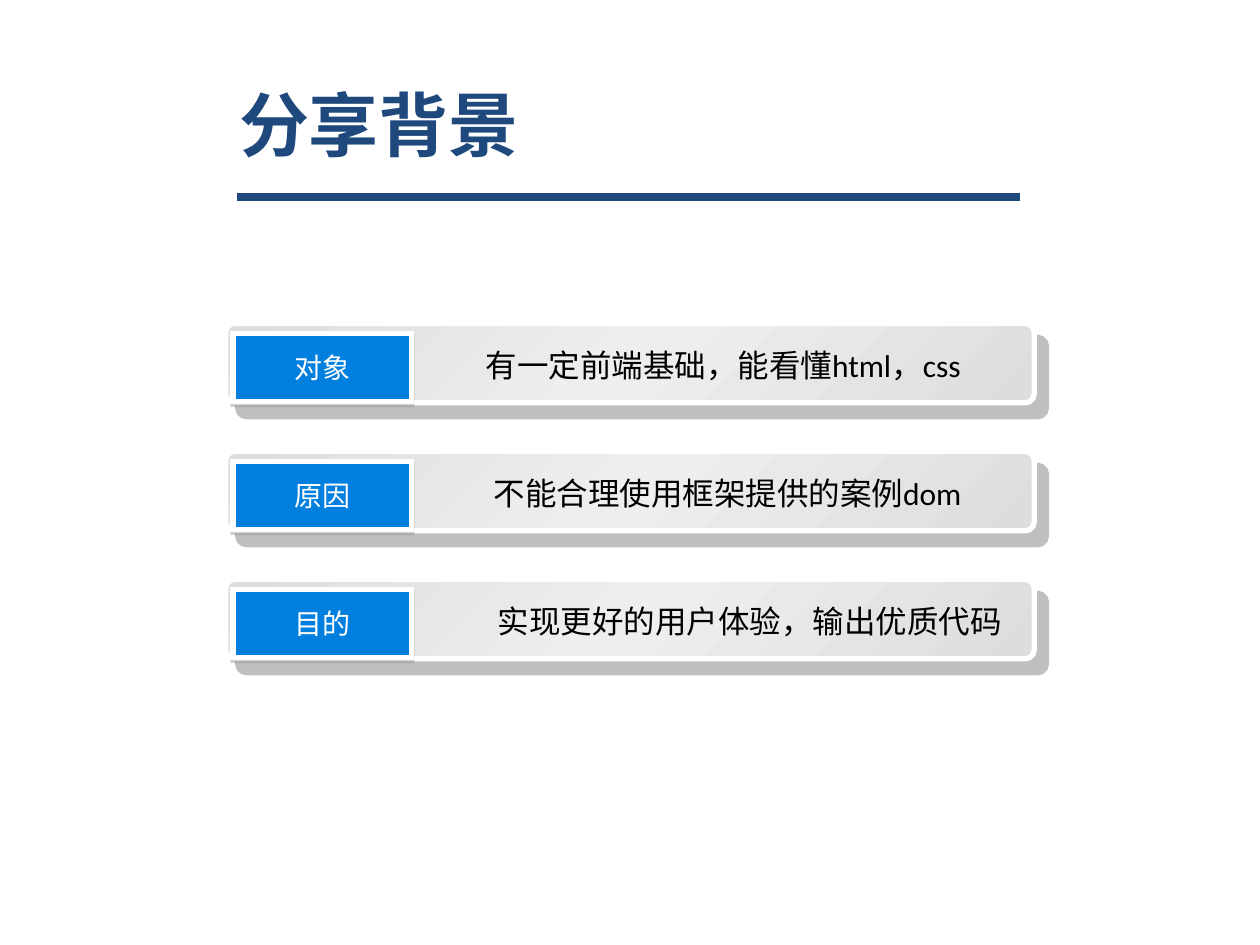
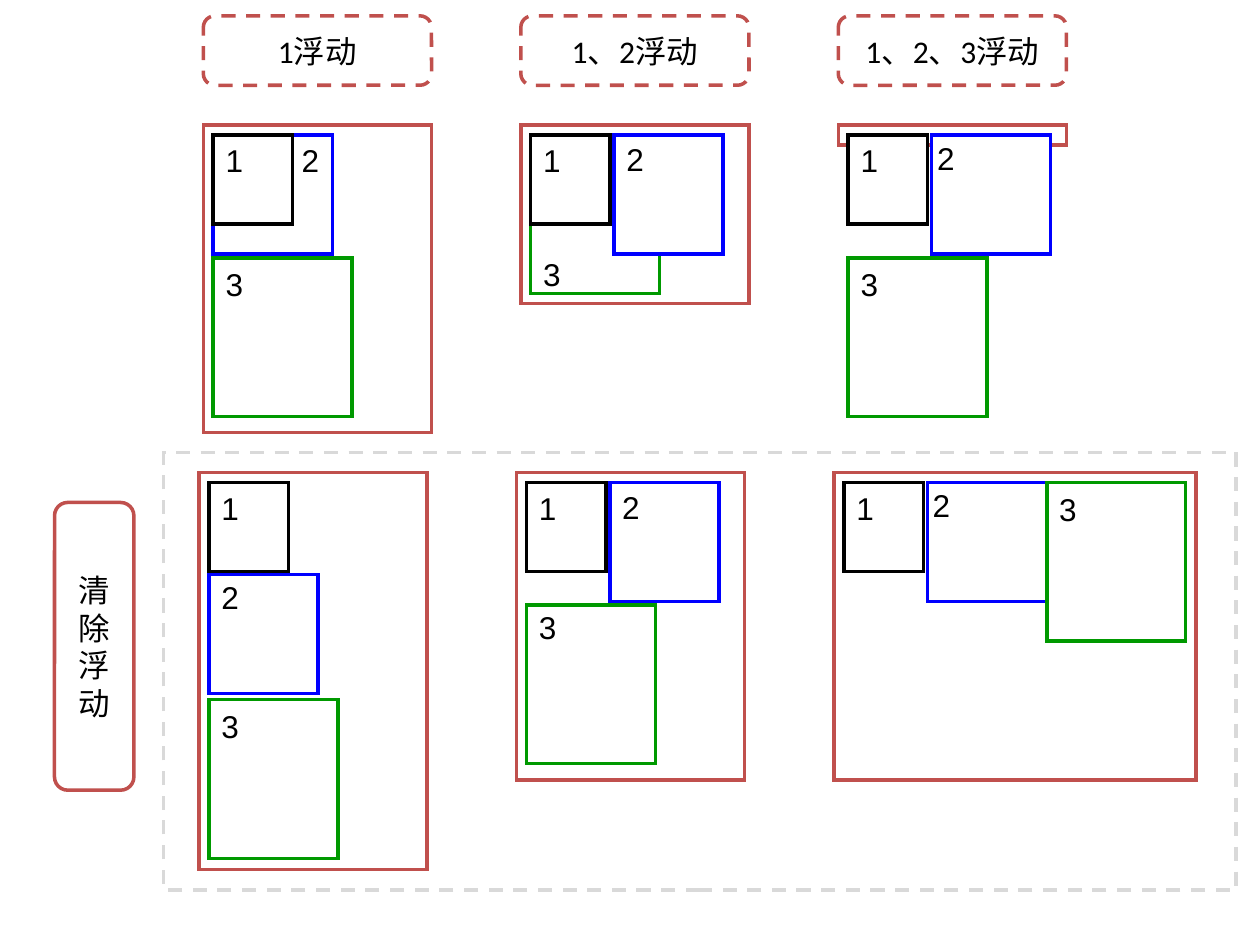
"""Build two slides on CSS floats: the talk's background and a float comparison."""
import copy

import pptx
import pptx.dml.color
import pptx.enum.dml
import pptx.enum.shapes
import pptx.enum.text
import pptx.oxml
import pptx.oxml.ns
import pptx.util
from lxml import etree

RGB = pptx.dml.color.RGBColor
NAVY = RGB(0x1F, 0x49, 0x7D)
AZURE = RGB(0x00, 0x7F, 0xDE)
WHITE = RGB(0xFF, 0xFF, 0xFF)
BLACK = RGB(0x00, 0x00, 0x00)
SILVER = RGB(0xDD, 0xDD, 0xDD)
PALE = RGB(0xEE, 0xEE, 0xEE)
MIST = RGB(0xD9, 0xD9, 0xD9)
BRICK = RGB(0xC0, 0x50, 0x4D)
BLUE = RGB(0x00, 0x00, 0xFF)
GREEN = RGB(0x00, 0x99, 0x00)

KIND = pptx.enum.shapes.MSO_SHAPE
ALIGN = pptx.enum.text.PP_ALIGN
ANCHOR = pptx.enum.text.MSO_ANCHOR
qn = pptx.oxml.ns.qn
HAN = "Noto Sans CJK SC"

deck = pptx.Presentation()
deck.slide_width = pptx.util.Inches(10)
deck.slide_height = pptx.util.Inches(7.5)
CELL = deck.slide_width / 127


def draw(slide, kind, spot, line=None, fill=WHITE, weight=2, dash=False, round=None):
    """Add a shape, or a text box when kind is None, at a spot given in grid cells."""
    place = [int(side * CELL) for side in spot]
    if kind is None:
        return slide.shapes.add_textbox(*place)
    shape = slide.shapes.add_shape(kind, *place)
    shape.shadow.inherit = False
    shape.fill.solid()
    shape.fill.fore_color.rgb = fill
    shape.line.color.rgb = line
    shape.line.width = pptx.util.Pt(weight)
    if dash:
        shape.line.dash_style = pptx.enum.dml.MSO_LINE.DASH
    etree.SubElement(shape._element.spPr.find(qn("a:ln")), qn("a:miter"), lim="800000")
    if round:
        shape.adjustments[0] = round
    return shape


def write(shape, text, size=18, font="Calibri", color=BLACK, bold=False,
          align=ALIGN.LEFT, anchor=ANCHOR.TOP):
    """Put one formatted paragraph into a shape."""
    frame = shape.text_frame
    frame.word_wrap = True
    frame.vertical_anchor = anchor
    para = frame.paragraphs[0]
    para.alignment = align
    run = para.add_run()
    run.text = text
    run.font.size = pptx.util.Pt(size)
    run.font.bold = bold
    run.font.color.rgb = color
    run.font.name = font
    etree.SubElement(run.font._element, qn("a:ea")).set("typeface", HAN)


blank = deck.slide_layouts[6]
MID = {"align": ALIGN.CENTER, "anchor": ANCHOR.MIDDLE}

intro = deck.slides.add_slide(blank)
title = draw(intro, None, (22.85, 6, 100, 13))
write(title, "分享背景", size=40, color=NAVY, bold=True, anchor=ANCHOR.MIDDLE)

rule = intro.shapes.add_connector(
    pptx.enum.shapes.MSO_CONNECTOR.STRAIGHT,
    *[int(side * CELL) for side in (23.85, 19.87, 102.85, 19.87)])
rule.line.color.rgb = NAVY
rule.line.width = pptx.util.Pt(4.5)
etree.SubElement(rule._element.spPr, qn("a:effectLst"))

points = [
    ("对象", "有一定前端基础，能看懂html，css", 47.7),
    ("原因", "不能合理使用框架提供的案例dom", 48.5),
    ("目的", "实现更好的用户体验，输出优质代码", 48.9),
]
for row, (name, text, left) in enumerate(points):
    top = 32.6 + 12.9 * row
    bar = draw(intro, KIND.ROUNDED_RECTANGLE, (22.75, top, 81.5, 8), WHITE,
               weight=3, round=0.11)
    bar.fill.gradient()
    bar.fill.gradient_angle = 135
    stops = bar._element.spPr.find(qn("a:gradFill")).find(qn("a:gsLst"))
    stops.append(copy.deepcopy(stops[0]))
    for stop, place, tone in zip(bar.fill.gradient_stops, (0, 0.5, 1),
                                 (SILVER, PALE, SILVER)):
        stop.position = place
        stop.color.rgb = tone

    tag = draw(intro, KIND.RECTANGLE, (23.5, top + 1, 18, 6.9), WHITE,
               fill=AZURE, weight=3)
    write(tag, name, size=16, font=HAN, color=WHITE, **MID)

    for shape, shift, angle, alpha in ((bar, 10.6, 49, 50), (tag, 1.6, 90, 38)):
        glow = etree.SubElement(shape._element.spPr.find(qn("a:effectLst")),
                                qn("a:outerShdw"), blurRad="0", algn="ctr",
                                dist=str(pptx.util.Pt(shift)),
                                dir=str(angle * 60000), rotWithShape="0")
        shade = etree.SubElement(glow, qn("a:srgbClr"), val="808080")
        etree.SubElement(shade, qn("a:alpha"), val=str(alpha * 1000))

    note = draw(intro, None, (left, top + 1.7, 55, 5.1))
    write(note, text)

floats = deck.slides.add_slide(blank)
draw(floats, KIND.RECTANGLE, (16.5, 45.6, 108.1, 44.1), MIST, dash=True)

STEP = 32
for col, text in enumerate(("1浮动", "1、2浮动", "1、2、3浮动")):
    head = draw(floats, KIND.ROUNDED_RECTANGLE, (20.5, 1.6, 23, 7), BRICK, dash=True)
    head.left += int(STEP * col * CELL)
    write(head, text, **MID)

INK = {"1": BLACK, "2": BLUE, "3": GREEN}
ONE = ("1", (1, 1, 8, 9), (1, 1))
TWO = ("2", (9.4, 1, 11, 12), (9.4, 0.9))
BIG = ("2", (9.4, 1, 12, 12), (8.7, 0.75))
LOW = ("3", (1, 13.4, 14, 16), (1, 13.5))
bands = [
    (20.5, 12.6, [
        (23, 31, [("2", (1, 1, 12, 12), (8.65, 1)), ONE, LOW]),
        (23, 18, [("3", (1, 1, 13, 16), (1, 12.45)), ONE, TWO]),
        (23, 2, [BIG, ONE, LOW]),
    ]),
    (20.07, 47.63, [
        (23, 40, [ONE, ("2", (1, 10.3, 11, 12), (1, 10)),
                  ("3", (1, 22.9, 13, 16), (1, 23))]),
        (23, 31, [("3", (1, 13.35, 13, 16), (1, 13)), ONE, TWO]),
        (36.5, 31, [BIG, ONE, ("3", (21.45, 1, 14, 16), (21.45, 1.15))]),
    ]),
]
for start, top, panels in bands:
    for col, (wide, high, boxes) in enumerate(panels):
        left = start + STEP * col
        draw(floats, KIND.RECTANGLE, (left, top, wide, high), BRICK)
        for name, (x, y, w, h), spot in boxes:
            draw(floats, KIND.RECTANGLE, (left + x, top + y, w, h), INK[name])
        for name, box, (x, y) in boxes:
            mark = draw(floats, None, (left + x, top + y, 9, 5.1))
            write(mark, name, font="Arial")

side = draw(floats, KIND.ROUNDED_RECTANGLE, (5.5, 50.65, 8, 29), BRICK)
write(side, "清除浮动", **MID)

deck.save("out.pptx")
